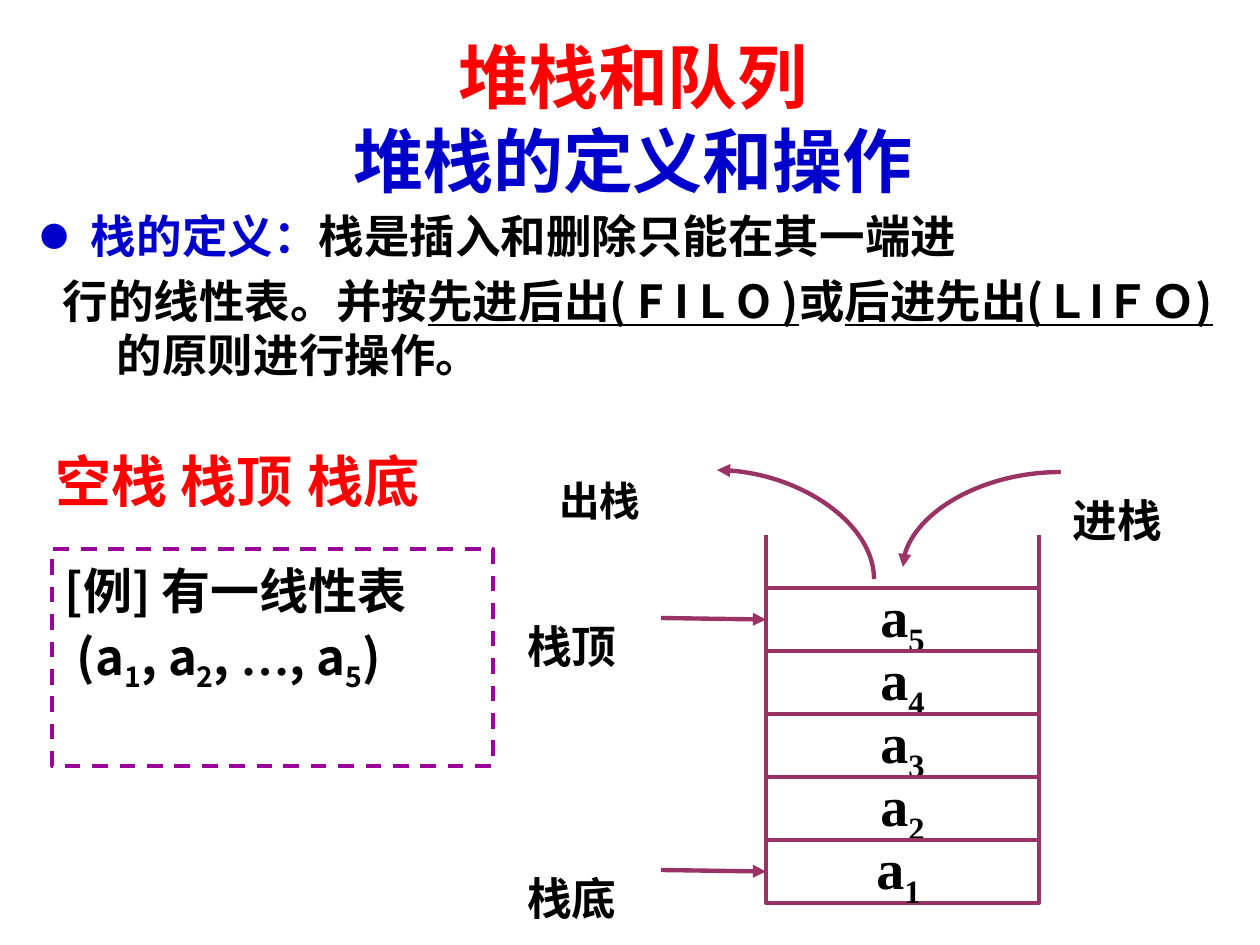
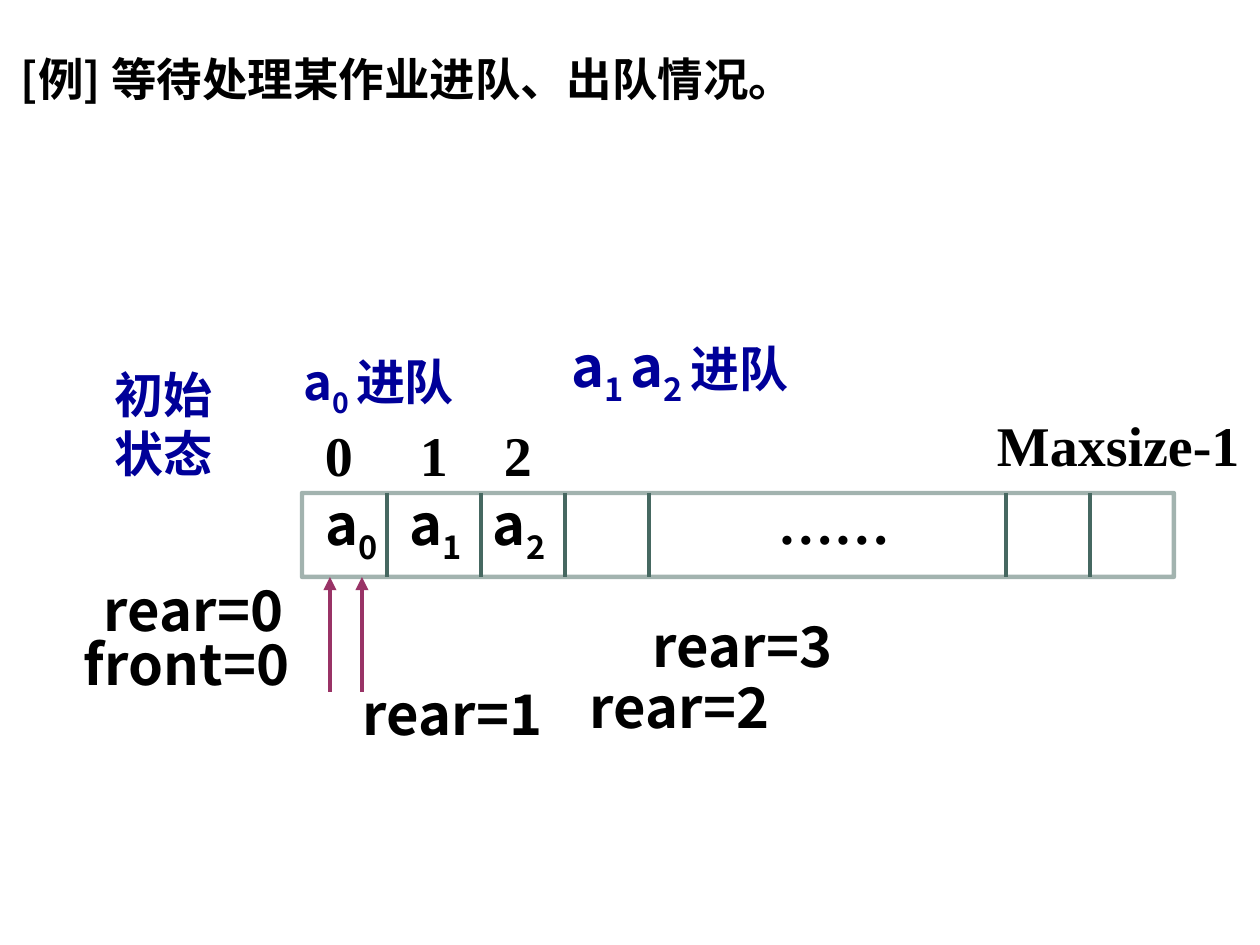
import dataclasses

import lxml.etree
import pptx
import pptx.dml.color
import pptx.enum.dml
import pptx.enum.shapes
import pptx.enum.text
import pptx.oxml.ns
import pptx.util

SCALE = 914400 / 126
PX_PER_PT = 1.75
ALIGN = pptx.enum.text.PP_ALIGN
SHAPES = pptx.enum.shapes.MSO_SHAPE
CONNECTORS = pptx.enum.shapes.MSO_CONNECTOR


@dataclasses.dataclass(frozen=True)
class Theme:
    """Colours, fonts and type sizes shared by the slides."""
    black: str = "000000"
    white: str = "FFFFFF"
    red: str = "FF0000"
    blue: str = "0000CC"
    navy: str = "000099"
    plum: str = "993366"
    violet: str = "990099"
    teal: str = "466861"
    sans: str = "Noto Sans CJK SC"
    serif: str = "Times New Roman"
    heading: int = 40
    large: int = 32
    medium: int = 28
    body: int = 26
    line_height: float = 1.2
    heavy: float = 2.5
    thin: float = 2.25


THEME = Theme()


def px(length):
    return pptx.util.Emu(round(length * SCALE))


def rgb(value):
    return pptx.dml.color.RGBColor.from_string(value)


def child(parent, tag, **attributes):
    element = lxml.etree.SubElement(parent, pptx.oxml.ns.qn(tag))
    for key, value in attributes.items():
        element.set(key, str(value))
    return element


def write(paragraph, text, size=THEME.large, color=THEME.black, font=THEME.sans, sub=False, underline=False):
    """Append one formatted run to a paragraph."""
    run = paragraph.add_run()
    run.text = text
    run.font.size = pptx.util.Pt(size)
    run.font.bold = True
    run.font.color.rgb = rgb(color)
    run.font.name = font
    if underline:
        run.font.underline = True
    properties = run._r.get_or_add_rPr()
    child(properties, "a:ea", typeface=font)
    if sub:
        properties.set("baseline", "-25000")


def indexed(letter, index):
    return [(letter, {}), (index, {"sub": True})]


class Deck:
    """Draws styled elements on the current slide."""

    def __init__(self, theme):
        self.theme = theme
        self.presentation = pptx.Presentation()
        self.presentation.slide_width = px(1260)
        self.presentation.slide_height = px(945)
        self.slide = None

    def new_slide(self):
        self.slide = self.presentation.slides.add_slide(self.presentation.slide_layouts[5])

    def paragraph(self, frame, runs, first=True, size=THEME.large, align=ALIGN.LEFT, before=0,
                  margin=0, indent=0, bullet=None, tab=None, **style):
        """Fill the first paragraph of a frame, or add a further one."""
        target = frame.paragraphs[0] if first else frame.add_paragraph()
        properties = target._p.get_or_add_pPr()
        properties.set("marL", str(px(margin)))
        properties.set("indent", str(px(indent)))
        if bullet:
            child(child(properties, "a:buClr"), "a:srgbClr", val=self.theme.blue)
            child(properties, "a:buSzPct", val=62000)
            child(properties, "a:buFont", typeface=self.theme.sans)
            child(properties, "a:buChar", char=bullet)
        if tab:
            child(child(properties, "a:tabLst"), "a:tab", pos=px(tab), algn="l")
        target.alignment = align
        target.line_spacing = pptx.util.Pt(round(size * self.theme.line_height, 1))
        target.space_before = pptx.util.Pt(before)
        for text, changes in runs:
            write(target, text, **{"size": size, **style, **changes})

    def prepare(self, frame, top=6):
        frame.word_wrap = True
        frame.auto_size = pptx.enum.text.MSO_AUTO_SIZE.NONE
        frame.vertical_anchor = pptx.enum.text.MSO_ANCHOR.TOP
        frame.margin_left = frame.margin_right = px(13)
        frame.margin_top, frame.margin_bottom = px(top), px(0)
        return frame

    def title(self, left, top, width, height):
        """Place the title placeholder and return its frame."""
        heading = self.slide.shapes.title
        heading.left, heading.top, heading.width, heading.height = map(px, (left, top, width, height))
        return self.prepare(heading.text_frame)

    def text_area(self, left, top, width, height):
        area = self.slide.shapes.add_textbox(*map(px, (left, top, width, height)))
        return self.prepare(area.text_frame)

    def label(self, runs, left, baseline, width, size=THEME.large, lines=1, font=THEME.sans, **style):
        """Set a text whose first line stands on the given baseline."""
        if isinstance(runs, str):
            runs = [(runs, {})]
        lowered = style.get("sub") or any(changes.get("sub") for _, changes in runs)
        descent = 0.22 if font == self.theme.serif else 0.29
        if lowered:
            descent = 0.58 * descent + 0.25
        height = size * PX_PER_PT
        top = baseline - 6 - (self.theme.line_height - descent) * height
        frame = self.text_area(left, round(top), width, round(lines * self.theme.line_height * height) + 12)
        self.paragraph(frame, runs, size=size, font=font, **style)

    def box(self, left, top, width, height, line, weight, fill=None, dash=False, alpha=None):
        """Draw a rectangle with an outline."""
        box = self.slide.shapes.add_shape(SHAPES.RECTANGLE, *map(px, (left, top, width, height)))
        box.shadow.inherit = False
        if fill:
            box.fill.solid()
            box.fill.fore_color.rgb = rgb(fill)
        else:
            box.fill.background()
        box.line.color.rgb = rgb(line)
        box.line.width = pptx.util.Pt(weight)
        if dash:
            box.line.dash_style = pptx.enum.dml.MSO_LINE.DASH
        if alpha:
            color = box.line._ln.find(".//" + pptx.oxml.ns.qn("a:srgbClr"))
            child(color, "a:alpha", val=alpha * 1000)
        return box

    def line(self, start, end, color=THEME.plum, weight=THEME.heavy, arrow=None, curved=False):
        """Draw a line; arrow is headEnd or tailEnd."""
        kind = CONNECTORS.CURVE if curved else CONNECTORS.STRAIGHT
        line = self.slide.shapes.add_connector(kind, *map(px, (*start, *end)))
        line.line.color.rgb = rgb(color)
        line.line.width = pptx.util.Pt(weight)
        properties = line._element.spPr
        if curved:
            properties.find(pptx.oxml.ns.qn("a:prstGeom")).set("prst", "curvedConnector2")
        if arrow:
            child(line.line._ln, "a:" + arrow, type="triangle")
        child(properties, "a:effectLst")
        return line


def stack_slide(deck):
    theme = deck.theme
    deck.new_slide()
    heading = deck.title(20, 28, 1226, 174)
    style = {"size": theme.heading, "align": ALIGN.CENTER}
    deck.paragraph(heading, [("堆栈和队列", {})], color=theme.red, **style)
    deck.paragraph(heading, [("堆栈的定义和操作", {})], first=False, color=theme.blue, **style)

    definition = deck.text_area(20, 202, 1226, 190)
    deck.paragraph(definition, [("栈的定义：", {"color": theme.blue}), ("栈是插入和删除只能在其一端进", {})],
                   size=theme.body, margin=58, indent=-50, bullet="●")
    deck.paragraph(definition, [
        ("行的线性表。并按", {}), ("先进后出( F I L O )", {"underline": True}), ("或", {}),
        ("后进先出(ＬIＦＯ)", {"underline": True}), ("的原则进行操作。", {}),
    ], first=False, size=theme.body, before=5.8, margin=84, indent=-54)

    left, top, width, height = 766, 588, 273, 63
    cells = []
    for row, index in enumerate(["5", "4", "3", "2", "1 "]):
        cell = deck.box(left, top + row * height, width, height, theme.plum, theme.heavy, fill=theme.white)
        deck.paragraph(deck.prepare(cell.text_frame, top=3), indexed("a", index),
                       align=ALIGN.CENTER, font=theme.serif)
        cells.append(cell)
    for wall in (left, left + width):
        deck.line((wall, top), (wall, 535))
    for name, cell, baseline in (("栈顶", cells[0], 640), ("栈底", cells[-1], 892)):
        middle = round((cell.top + cell.height / 2) / SCALE)
        pointer = deck.line((661, middle - 2), (left, middle), arrow="tailEnd")
        pointer.end_connect(cell, 1)
        deck.label(name, 514, baseline, 220, size=44, sub=True)
    deck.line((1061, 472), (903, 567), arrow="tailEnd", curved=True)
    deck.line((717, 470), (874, 579), arrow="headEnd", curved=True)
    deck.label("进栈", 1060, 514, 199, size=44, sub=True)
    deck.label("出栈", 546, 496, 210, size=40, sub=True)

    example = deck.box(52, 549, 441, 217, theme.violet, theme.thin, dash=True)
    frame = deck.prepare(example.text_frame, top=12)
    deck.paragraph(frame, [("[例] 有一线性表", {})], size=theme.medium)
    deck.paragraph(frame, [
        ("(", {}), *indexed("a", "1"), (", ", {}), *indexed("a", "2"), (", ", {}),
        ("…", {"font": theme.serif}), (", ", {}), *indexed("a", "5"), (")", {}),
    ], first=False, size=theme.medium, before=8.5, margin=12)
    deck.label("空栈 栈顶\t栈底", 43, 497, 530, color=theme.red, tab=262)


def queue_slide(deck):
    theme = deck.theme
    deck.new_slide()
    heading = deck.title(8, 45, 1240, 68)
    deck.paragraph(heading, [("[例] 等待处理某作业进队、出队情况。", {})], size=theme.body)

    left, top, width, height = 302, 493, 872, 84
    bottom = top + height
    deck.box(left, top, width, height, theme.teal, theme.heavy, alpha=50)
    for divider in (387, 481, 565, 649, 1006, 1090):
        deck.line((divider, top), (divider, bottom), color=theme.teal, weight=theme.thin)
    for pointer in (330, 362):
        deck.line((pointer, 692), (pointer, bottom), arrow="tailEnd")

    for index, number_left in enumerate((312, 407, 491)):
        deck.label(indexed("a", str(index)), 312 + index * 84, 543, 105)
        deck.label(str(index), number_left, 475, 63, font=theme.serif)
    deck.label("……", 765, 543, 158, font=theme.serif)
    deck.label("Maxsize-1", 984, 465, 273, font=theme.serif)

    deck.label("初始状态", 102, 410, 126, size=theme.medium, lines=2, color=theme.navy)
    deck.label([*indexed("a", "0 "), ("进队", {})], 291, 398, 210, size=theme.medium, color=theme.navy)
    deck.label([*indexed("a", "1 "), *indexed("a", "2 "), ("进队", {"size": theme.medium})],
               558, 385, 407, color=theme.navy)
    for state, state_left, baseline in (
        ("rear=0", 91, 627), ("front=0", 71, 680), ("rear=1", 350, 730),
        ("rear=2", 577, 723), ("rear=3", 640, 662),
    ):
        deck.label(state, state_left, baseline, 242)


def main():
    deck = Deck(THEME)
    stack_slide(deck)
    queue_slide(deck)
    deck.presentation.save("out.pptx")


if __name__ == "__main__":
    main()
